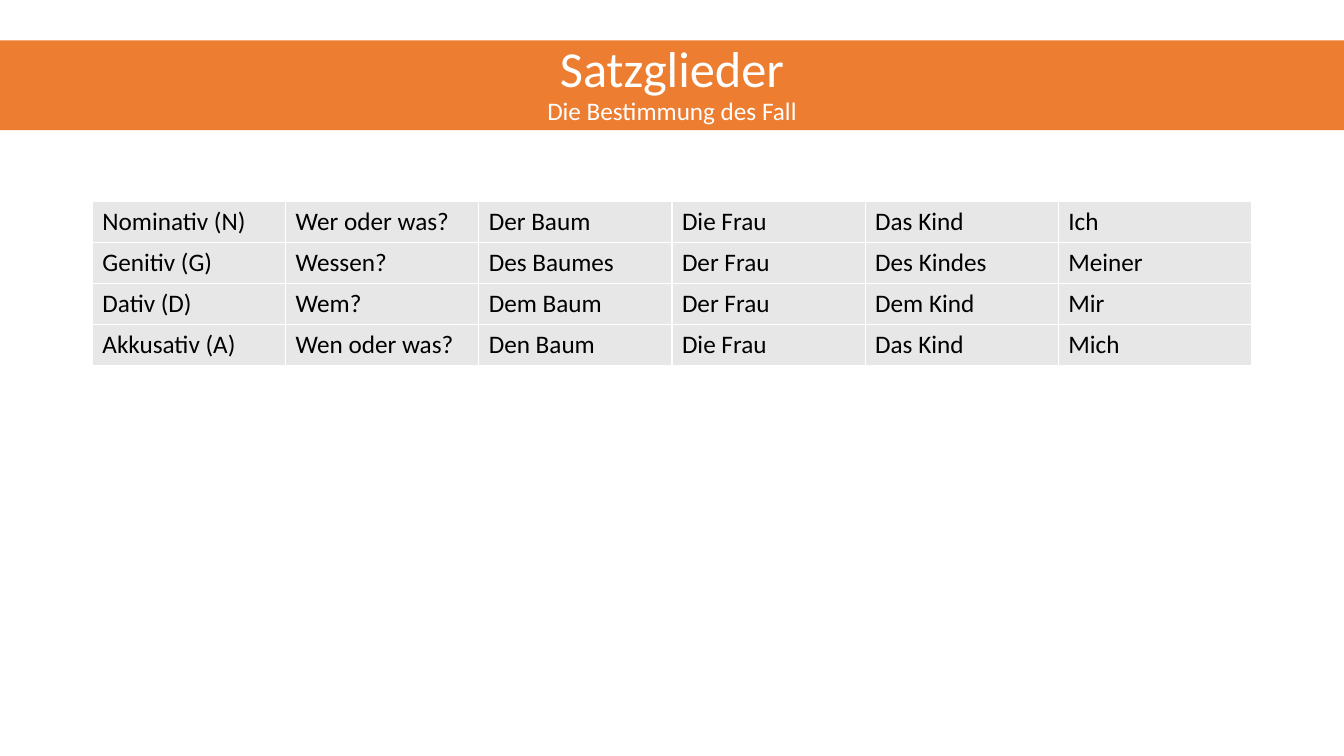
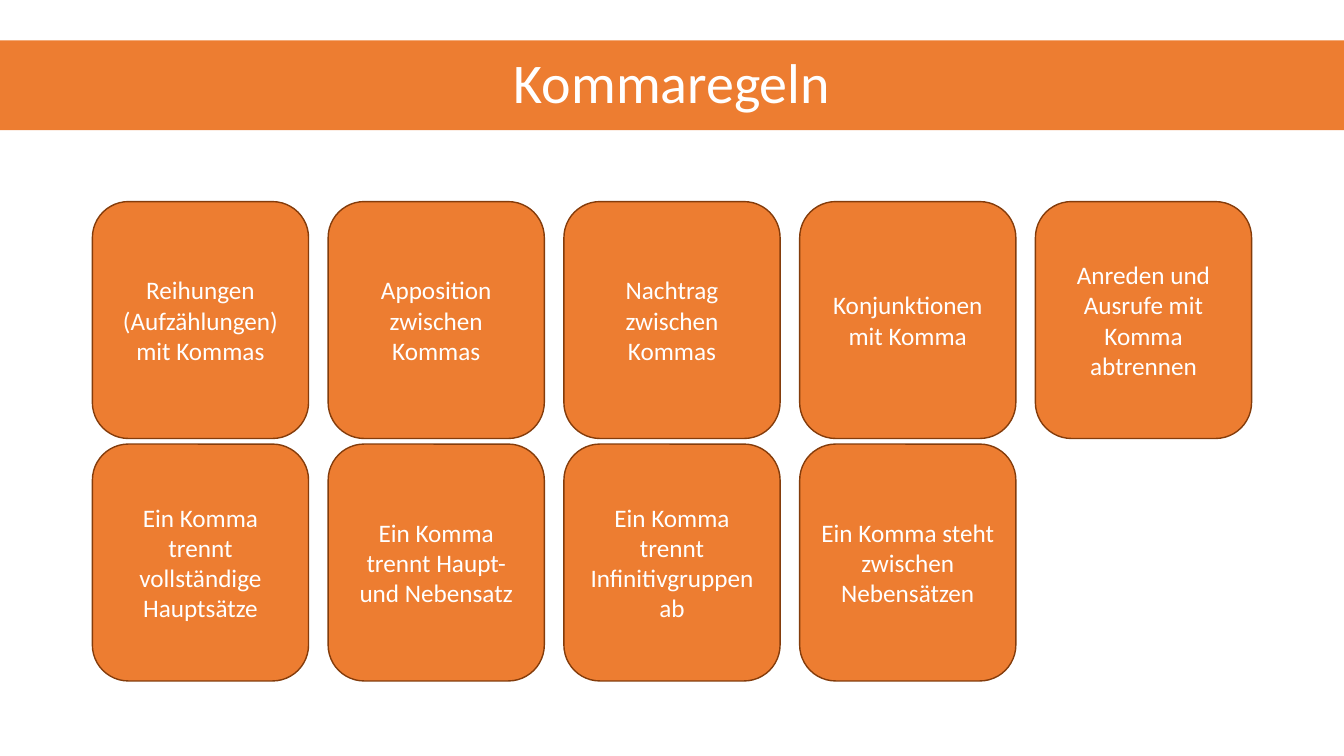
import pptx
import pptx.dml.color
import pptx.enum.shapes
import pptx.enum.text
import pptx.oxml
import pptx.oxml.ns
import pptx.util
import lxml.etree

Pt = pptx.util.Pt
MIDDLE = pptx.enum.text.MSO_ANCHOR.MIDDLE
CENTER = pptx.enum.text.PP_ALIGN.CENTER
SHAPES = pptx.enum.shapes.MSO_SHAPE

# Shared style
FONT = "Calibri"
ORANGE, BROWN, GREY = "ED7D31", "843C0B", "E7E7E7"
WHITE, BLACK = "FFFFFF", "000000"
BODY_SIZE = 18
SLIDE_WIDTH, SLIDE_HEIGHT = 960, 540
BAND_TOP, BAND_HEIGHT = 28.8, 64.2
CONTENT_LEFT, CONTENT_TOP, CONTENT_WIDTH = 66, 144, 828

# Content
CASES = [
    ["Nominativ (N)", "Wer oder was?", "Der Baum", "Die Frau", "Das Kind", "Ich"],
    ["Genitiv (G)", "Wessen?", "Des Baumes", "Der Frau", "Des Kindes", "Meiner"],
    ["Dativ (D)", "Wem?", "Dem Baum", "Der Frau", "Dem Kind", "Mir"],
    ["Akkusativ (A)", "Wen oder was?", "Den Baum", "Die Frau", "Das Kind", "Mich"],
]
COMMA_RULES = [
    "Reihungen (Aufzählungen) mit Kommas",
    "Apposition zwischen Kommas",
    "Nachtrag zwischen Kommas",
    "Konjunktionen mit Komma",
    "Anreden und Ausrufe mit Komma abtrennen",
    "Ein Komma trennt vollständige Hauptsätze",
    "Ein Komma trennt Haupt- und Nebensatz",
    "Ein Komma trennt Infinitivgruppen ab",
    "Ein Komma steht zwischen Nebensätzen",
]


def color(value):
    return pptx.dml.color.RGBColor.from_string(value)


def fill_solid(target, value):
    target.fill.solid()
    target.fill.fore_color.rgb = color(value)


def format_run(run, size, value):
    run.font.name = FONT
    run.font.size = Pt(size)
    run.font.color.rgb = color(value)


def add_box(slide, kind, left, top, width, height, text, sizes, line=None):
    """Add an orange shape with centred white text, one size per run."""
    shape = slide.shapes.add_shape(kind, Pt(left), Pt(top), Pt(width), Pt(height))
    shape.shadow.inherit = False
    fill_solid(shape, ORANGE)
    if line:
        shape.line.color.rgb = color(line)
        shape.line.width = Pt(1)
    else:
        shape.line.fill.background()
    shape.text_frame.word_wrap = True
    shape.text_frame.vertical_anchor = MIDDLE
    paragraph = shape.text_frame.paragraphs[0]
    paragraph.text = text
    paragraph.alignment = CENTER
    for run, size in zip(paragraph.runs, sizes):
        format_run(run, size, WHITE)
    return shape


def add_title_band(slide, text, sizes):
    band = add_box(slide, SHAPES.RECTANGLE, 0, BAND_TOP, SLIDE_WIDTH,
                   BAND_HEIGHT, text, sizes)
    band.text_frame.paragraphs[0].line_spacing = 0.9


def set_cell_borders(cell, value, width):
    properties = cell._tc.get_or_add_tcPr()
    for side in ("lnL", "lnR", "lnT", "lnB"):
        border = lxml.etree.SubElement(
            properties, pptx.oxml.ns.qn("a:" + side), w=str(Pt(width)))
        solid = lxml.etree.SubElement(border, pptx.oxml.ns.qn("a:solidFill"))
        lxml.etree.SubElement(solid, pptx.oxml.ns.qn("a:srgbClr"), val=value)


def add_case_table(slide, rows, row_height):
    table = slide.shapes.add_table(
        len(rows), len(rows[0]), Pt(CONTENT_LEFT), Pt(CONTENT_TOP),
        Pt(CONTENT_WIDTH), Pt(row_height * len(rows))).table
    table.first_row = False
    table.horz_banding = False
    for row_index, texts in enumerate(rows):
        table.rows[row_index].height = Pt(row_height)
        for column_index, text in enumerate(texts):
            cell = table.cell(row_index, column_index)
            set_cell_borders(cell, WHITE, 1)
            fill_solid(cell, GREY)
            cell.text_frame.text = text
            format_run(cell.text_frame.paragraphs[0].runs[0], BODY_SIZE, BLACK)


def add_card_grid(slide, texts, columns, height, gap_across, gap_down):
    width = (CONTENT_WIDTH - (columns - 1) * gap_across) / columns
    for index, text in enumerate(texts):
        row, column = divmod(index, columns)
        add_box(slide, SHAPES.ROUNDED_RECTANGLE,
                CONTENT_LEFT + column * (width + gap_across),
                CONTENT_TOP + row * (height + gap_down),
                width, height, text, [BODY_SIZE], BROWN)


def main():
    presentation = pptx.Presentation()
    presentation.slide_width = Pt(SLIDE_WIDTH)
    presentation.slide_height = Pt(SLIDE_HEIGHT)
    blank = presentation.slide_layouts[6]

    # Grammatical cases
    slide = presentation.slides.add_slide(blank)
    add_title_band(slide, "Satzglieder\vDie Bestimmung des Fall", [36, 18])
    add_case_table(slide, CASES, 29.2)

    # Comma rules
    slide = presentation.slides.add_slide(blank)
    add_title_band(slide, "Kommaregeln", [40])
    add_card_grid(slide, COMMA_RULES, 5, 169.2, 14, 4)

    presentation.save("out.pptx")


main()
